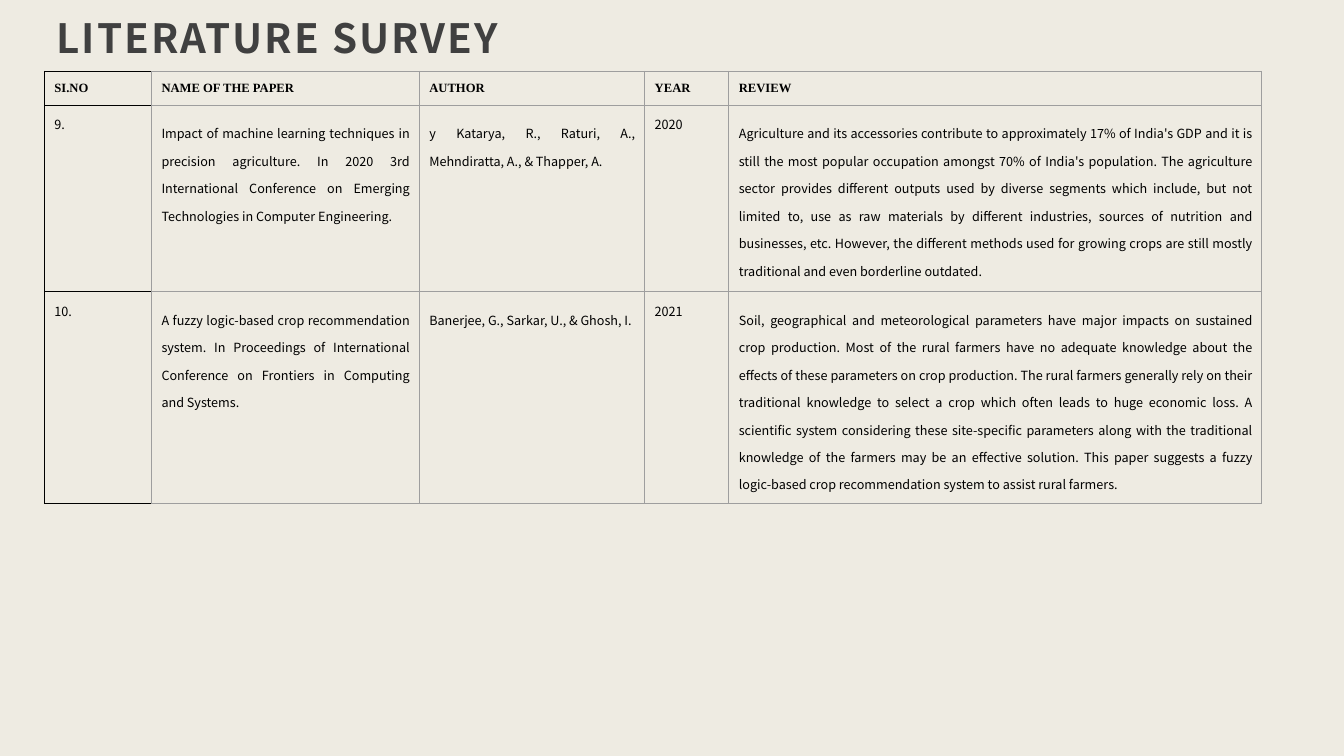
from dataclasses import dataclass

from lxml.etree import SubElement
from pptx import Presentation
from pptx.dml.color import RGBColor
from pptx.enum.text import MSO_ANCHOR, MSO_AUTO_SIZE, PP_ALIGN
from pptx.oxml.ns import qn
from pptx.util import Cm, Pt


@dataclass(frozen=True)
class Theme:
    background: str = "EEEBE2"
    heading: str = "404040"
    ink: str = "000000"
    grid: str = "9E9E9E"
    sans: str = "Noto Sans CJK JP"
    serif: str = "Times New Roman"
    title_size: float = 28.8
    table_size: float = 9
    border_width: float = 0.75


theme = Theme()


def style_font(font, name, size, color, bold):
    font.name = name
    font.size = Pt(size)
    font.bold = bold
    font.color.rgb = RGBColor.from_string(color)


def draw_borders(cell, colors):
    properties = cell._tc.get_or_add_tcPr()
    for side, color in zip("LRTB", colors):
        border = SubElement(properties, qn(f"a:ln{side}"), w=str(Pt(theme.border_width)))
        fill = SubElement(border, qn("a:solidFill"))
        SubElement(fill, qn("a:srgbClr"), val=color)


presentation = Presentation()
presentation.slide_width = Cm(33.87)
presentation.slide_height = Cm(19.05)
slide = presentation.slides.add_slide(presentation.slide_layouts[5])
slide.background.fill.solid()
slide.background.fill.fore_color.rgb = RGBColor.from_string(theme.background)

heading = slide.shapes.title
heading.left, heading.top = Cm(1.12), Cm(0.08)
heading.width, heading.height = Cm(24.36), Cm(1.73)
heading_frame = heading.text_frame
heading_frame.text = "LITERATURE SURVEY"
heading_frame.word_wrap = True
heading_frame.auto_size = MSO_AUTO_SIZE.NONE
heading_frame.vertical_anchor = MSO_ANCHOR.BOTTOM
heading_frame.margin_left = heading_frame.margin_right = heading_frame.margin_top = Cm(0.3)
heading_frame.margin_bottom = Cm(0.25)
heading_line = heading_frame.paragraphs[0]
heading_line.alignment = PP_ALIGN.LEFT
heading_line.line_spacing = 1.3
heading_font = heading_line.runs[0].font
style_font(heading_font, theme.sans, theme.title_size, theme.heading, True)
heading_font._element.set("spc", "150")

papers = [
    ("SI.NO", "NAME OF THE PAPER", "AUTHOR", "YEAR", "REVIEW"),
    (
        "9.",
        "Impact of machine learning techniques in precision agriculture. In 2020 3rd "
        "International Conference on Emerging Technologies in Computer Engineering.",
        "y Katarya, R., Raturi, A., Mehndiratta, A., & Thapper, A.",
        "2020",
        "Agriculture and its accessories contribute to approximately 17% of India's GDP "
        "and it is still the most popular occupation amongst 70% of India's population. "
        "The agriculture sector provides different outputs used by diverse segments which "
        "include, but not limited to, use as raw materials by different industries, sources "
        "of nutrition and businesses, etc. However, the different methods used for growing "
        "crops are still mostly traditional and even borderline outdated.",
    ),
    (
        "10.",
        "A fuzzy logic-based crop recommendation system. In Proceedings of International "
        "Conference on Frontiers in Computing and Systems.",
        "Banerjee, G., Sarkar, U., & Ghosh, I.",
        "2021",
        "Soil, geographical and meteorological parameters have major impacts on sustained "
        "crop production. Most of the rural farmers have no adequate knowledge about the "
        "effects of these parameters on crop production. The rural farmers generally rely on "
        "their traditional knowledge to select a crop which often leads to huge economic "
        "loss. A scientific system considering these site-specific parameters along with the "
        "traditional knowledge of the farmers may be an effective solution. This paper "
        "suggests a fuzzy logic-based crop recommendation system to assist rural farmers.",
    ),
]
column_widths = [2.7, 6.75, 5.68, 2.12, 13.43]
row_heights = [0.85, 4.7, 5.33]
justified_columns = {1, 2, 4}

survey = slide.shapes.add_table(
    len(papers), len(column_widths), Cm(1.12), Cm(1.8),
    Cm(sum(column_widths)), Cm(sum(row_heights)),
).table
survey.first_row = False
survey.horz_banding = False
for column, width in zip(survey.columns, column_widths):
    column.width = Cm(width)
for row, height in zip(survey.rows, row_heights):
    row.height = Cm(height)

for row_index, paper in enumerate(papers):
    is_header = row_index == 0
    for column_index, entry in enumerate(paper):
        cell = survey.cell(row_index, column_index)
        cell.text_frame.text = entry
        cell.vertical_anchor = MSO_ANCHOR.TOP
        cell.margin_left = cell.margin_right = Cm(0.25)
        cell.margin_top = cell.margin_bottom = Cm(0.25)
        paragraph = cell.text_frame.paragraphs[0]
        if not is_header and column_index in justified_columns:
            paragraph.alignment = PP_ALIGN.JUSTIFY
            paragraph.line_spacing = 1.5
            paragraph.space_after = Pt(15.6)
        face = theme.serif if is_header else theme.sans
        style_font(paragraph.runs[0].font, face, theme.table_size, theme.ink, is_header)
        edge = theme.ink if column_index == 0 else theme.grid
        draw_borders(cell, (edge, theme.grid, edge, edge))
        cell.fill.background()

presentation.save("out.pptx")
